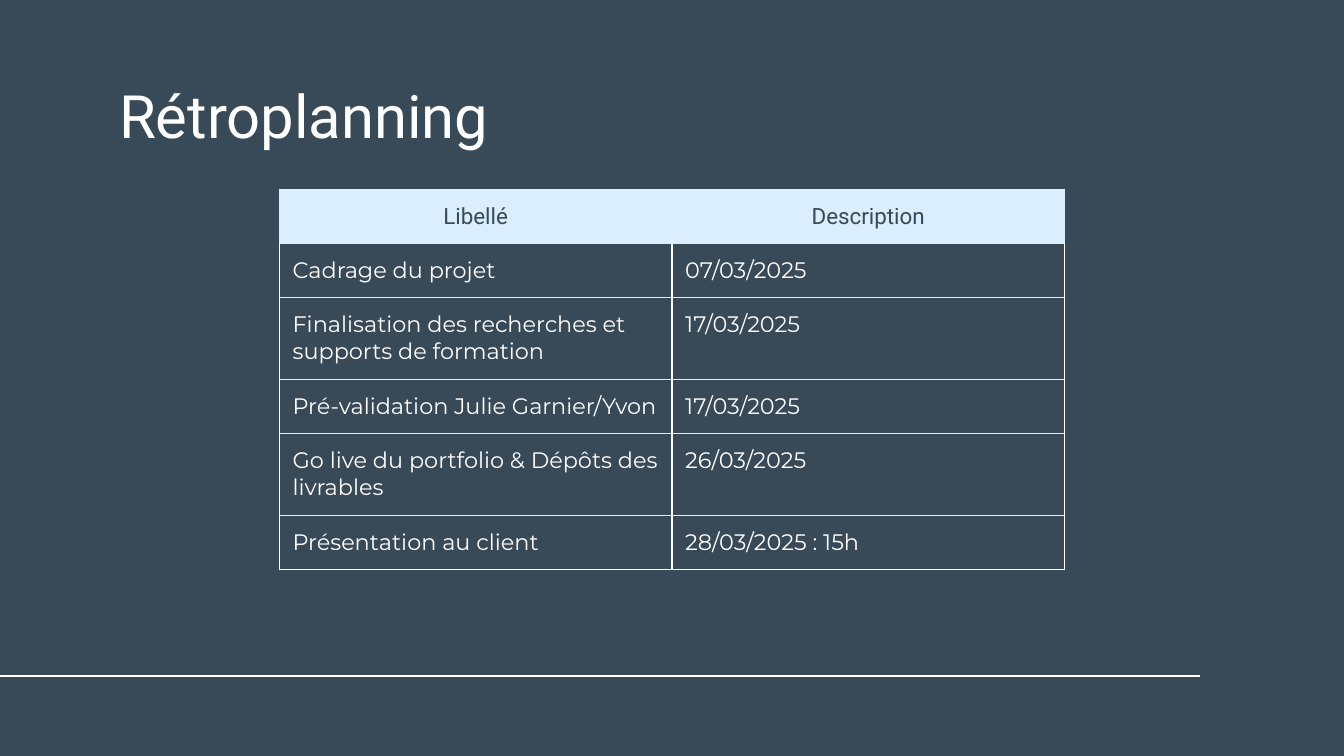
from dataclasses import dataclass

from lxml import etree
from pptx import Presentation
from pptx.dml.color import RGBColor
from pptx.enum import shapes, text
from pptx.oxml.ns import qn
from pptx.util import Cm, Pt

SLATE = RGBColor(0x38, 0x49, 0x57)
PALE_BLUE = RGBColor(0xDB, 0xEE, 0xFF)
WHITE = RGBColor(0xFF, 0xFF, 0xFF)
INSET = Cm(0.25)
RULE = Pt(0.75)


@dataclass
class Row:
    label: str
    date: str
    height: float = 1.02
    header: bool = False


ROWS = [
    Row("Libellé", "Description", header=True),
    Row("Cadrage du projet", "07/03/2025"),
    Row("Finalisation des recherches et supports de formation", "17/03/2025", 1.55),
    Row("Pré-validation Julie Garnier/Yvon", "17/03/2025"),
    Row("Go live du portfolio & Dépôts des livrables", "26/03/2025", 1.55),
    Row("Présentation au client", "28/03/2025 : 15h"),
]


def set_inset(box) -> None:
    """Give a cell or text frame the same margin on all sides."""
    box.margin_left = box.margin_right = INSET
    box.margin_top = box.margin_bottom = INSET


def set_font(p, name: str, size: float, color: RGBColor) -> None:
    p.font.name, p.font.size, p.font.bold = name, Pt(size), False
    p.font.color.rgb = color


def set_borders(cell, sides: dict[str, RGBColor]) -> None:
    """Draw the cell's borders; sides are given in schema order L, R, T, B."""
    tc_pr = cell._tc.get_or_add_tcPr()
    for i, (side, color) in enumerate(sides.items()):
        ln = etree.Element(qn(f"a:ln{side}"), w=str(RULE))
        fill = etree.SubElement(ln, qn("a:solidFill"))
        etree.SubElement(fill, qn("a:srgbClr"), val=str(color))
        tc_pr.insert(i, ln)


def fill_cell(cell, content: str, header: bool, last: bool) -> None:
    cell.text = content
    set_inset(cell)
    p = cell.text_frame.paragraphs[0]
    if header:
        cell.vertical_anchor = text.MSO_ANCHOR.MIDDLE
        cell.fill.solid()
        cell.fill.fore_color.rgb = PALE_BLUE
        p.alignment = text.PP_ALIGN.CENTER
        set_font(p, "Roboto", 12, SLATE)
    else:
        cell.fill.background()
        set_font(p, "Montserrat", 12, WHITE)
    side = PALE_BLUE if header else WHITE
    bottom = WHITE if last else PALE_BLUE
    set_borders(cell, {"L": side, "R": side, "T": PALE_BLUE, "B": bottom})


def add_schedule(s, rows: list[Row]) -> None:
    height = Cm(sum(row.height for row in rows))
    frame = s.shapes.add_table(len(rows), 2, Cm(5.28), Cm(3.58), Cm(14.84), height)
    table = frame.table
    table.first_row = table.horz_banding = False
    for i, row in enumerate(rows):
        table.rows[i].height = Cm(row.height)
        for cell, content in zip(table.rows[i].cells, (row.label, row.date)):
            fill_cell(cell, content, row.header, i == len(rows) - 1)


def add_title(s, content: str) -> None:
    sp = s.shapes.title
    sp.left, sp.top, sp.width, sp.height = Cm(2), Cm(1.24), Cm(21.41), Cm(1.6)
    tf = sp.text_frame
    tf.text = content
    tf.word_wrap = True
    tf.auto_size = text.MSO_AUTO_SIZE.NONE
    tf.vertical_anchor = text.MSO_ANCHOR.TOP
    set_inset(tf)
    p = tf.paragraphs[0]
    p.alignment = text.PP_ALIGN.LEFT
    set_font(p, "Roboto", 32, WHITE)


def add_footer_line(s) -> None:
    y = Cm(12.78)
    line = s.shapes.add_connector(shapes.MSO_CONNECTOR.STRAIGHT, Cm(22.68), y, 0, y)
    line.line.color.rgb = WHITE
    line.line.width = RULE
    etree.SubElement(line._element.spPr, qn("a:effectLst"))


def main() -> None:
    prs = Presentation()
    prs.slide_width, prs.slide_height = Cm(25.4), Cm(14.29)
    s = prs.slides.add_slide(prs.slide_layouts[5])

    # Background
    s.background.fill.solid()
    s.background.fill.fore_color.rgb = SLATE

    # Content
    add_footer_line(s)
    add_title(s, "Rétroplanning")
    add_schedule(s, ROWS)
    prs.save("out.pptx")


if __name__ == "__main__":
    main()
